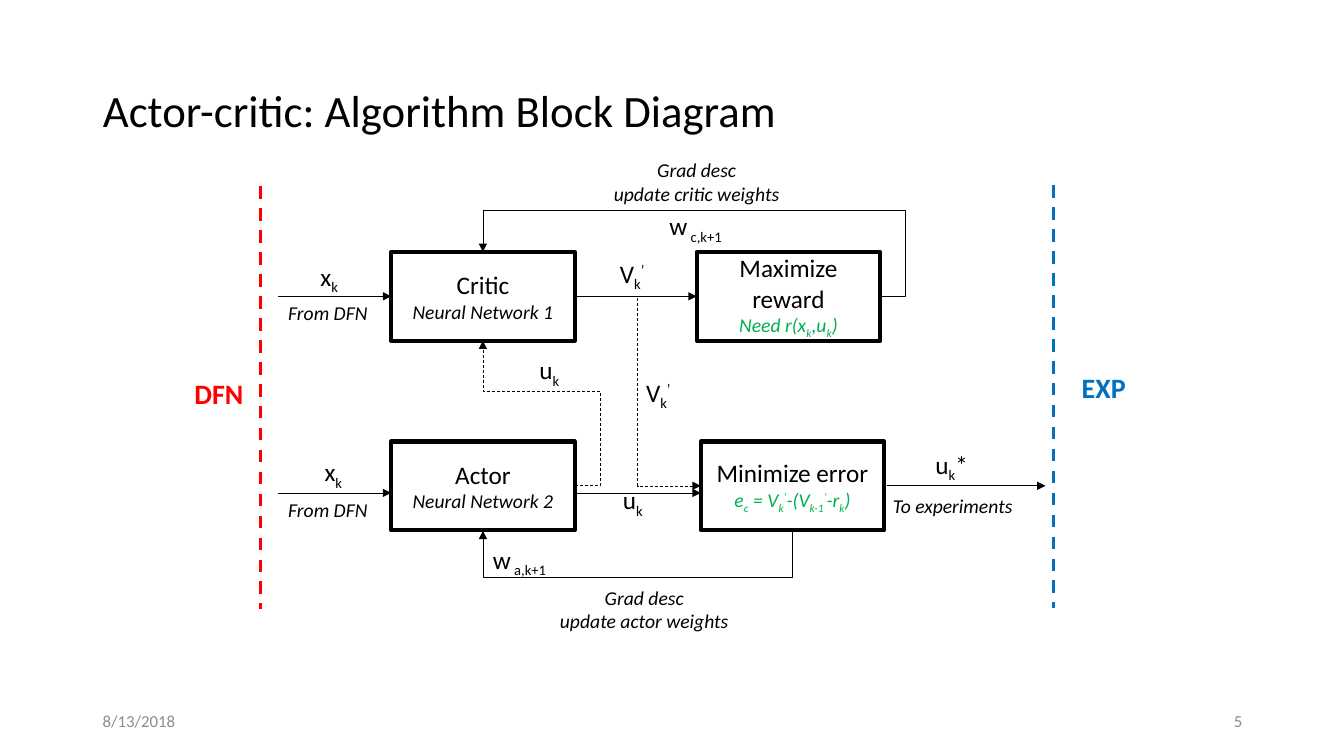
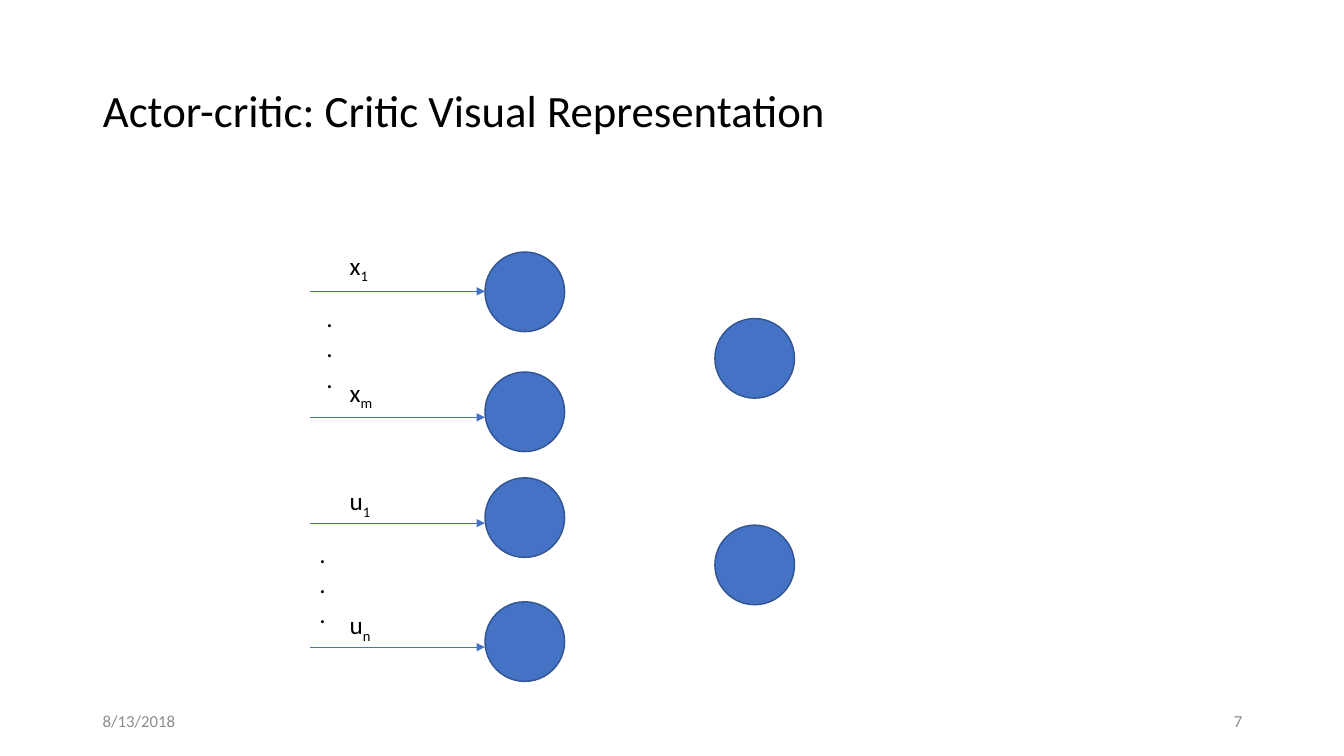
from dataclasses import dataclass
from typing import NamedTuple

from lxml.etree import SubElement
from pptx import Presentation
from pptx.dml.color import RGBColor
from pptx.enum.dml import MSO_LINE
from pptx.enum.shapes import MSO_CONNECTOR as Link, MSO_SHAPE as Preset
from pptx.enum.text import MSO_ANCHOR as Anchor, MSO_AUTO_SIZE as Fit, PP_ALIGN as Align
from pptx.oxml.ns import qn
from pptx.presentation import Presentation as Deck
from pptx.shapes.autoshape import Shape
from pptx.shapes.connector import Connector
from pptx.slide import Slide
from pptx.text.text import TextFrame
from pptx.util import Inches, Pt


@dataclass(frozen=True)
class Theme:
    font: str = "Calibri"
    black: str = "000000"
    white: str = "FFFFFF"
    gray: str = "8C8C8C"
    red: str = "FF0000"
    blue: str = "0070C0"
    green: str = "00B050"
    node: str = "4472C4"
    node_edge: str = "325491"
    title: int = 32
    side: int = 20
    body: int = 18
    note: int = 14
    footer: int = 12
    thin: float = 0.5
    medium: float = 2.25
    thick: float = 3


THEME = Theme()
TOP, LEFT, BOTTOM, RIGHT = range(4)


class Span(NamedTuple):
    text: str
    base: int = 0


class Para(NamedTuple):
    spans: tuple[Span, ...]
    size: int = THEME.body
    color: str = THEME.black
    italic: bool = False
    bold: bool = False
    align: Align = Align.LEFT


class Area(NamedTuple):
    left: float
    top: float
    width: float
    height: float

    def side(self, site: int) -> tuple[float, float]:
        middle, center = self.left + self.width / 2, self.top + self.height / 2
        return (
            (middle, self.top),
            (self.left, center),
            (middle, self.top + self.height),
            (self.left + self.width, center),
        )[site]


@dataclass(frozen=True)
class Label:
    area: Area
    paras: list[Para]
    wrap: bool = False
    anchor: Anchor = Anchor.TOP


@dataclass(frozen=True)
class Block:
    area: Area
    paras: list[Para]


@dataclass(frozen=True)
class Stroke:
    start: tuple[float, float]
    end: tuple[float, float]
    color: str = THEME.black
    width: float = THEME.thin
    dashed: bool = False
    arrow: bool = True


@dataclass(frozen=True)
class Route:
    source: str
    source_side: int
    target: str
    target_side: int
    bends: tuple[float, ...] = ()
    dashed: bool = False


def sub(text: str) -> Span:
    return Span(text, -25)


def plain(text: str, size: int = THEME.body, **style) -> Para:
    return Para((Span(text),), size, **style)


def symbol(letter: str, index: str, *rest: Span) -> list[Para]:
    return [Para((Span(letter), sub(index), *rest))]


def note(*lines: str, align: Align = Align.CENTER) -> list[Para]:
    return [plain(line, THEME.note, italic=True, align=align) for line in lines]


def formula(*spans: Span) -> Para:
    return Para(spans, THEME.note, THEME.green, italic=True, align=Align.CENTER)


def fill_text(frame: TextFrame, paras: list[Para]) -> None:
    for number, para in enumerate(paras):
        paragraph = frame.add_paragraph() if number else frame.paragraphs[0]
        paragraph.alignment = para.align
        font = paragraph.font
        font.name, font.size = THEME.font, Pt(para.size)
        font.bold, font.italic = para.bold, para.italic
        font.color.rgb = RGBColor.from_string(para.color)
        for span in para.spans:
            run = paragraph.add_run()
            run.text = span.text
            if span.base:
                run.font._element.set("baseline", str(span.base * 1000))


def add_label(page: Slide, label: Label) -> None:
    frame = page.shapes.add_textbox(*map(Inches, label.area)).text_frame
    frame.word_wrap = label.wrap
    frame.vertical_anchor = label.anchor
    frame.auto_size = Fit.SHAPE_TO_FIT_TEXT if label.anchor == Anchor.TOP else Fit.NONE
    fill_text(frame, label.paras)


def add_figure(page: Slide, preset: Preset, area: Area, fill: str, edge: str, width: float) -> Shape:
    shape = page.shapes.add_shape(preset, *map(Inches, area))
    shape.shadow.inherit = False
    shape.fill.solid()
    shape.fill.fore_color.rgb = RGBColor.from_string(fill)
    shape.line.color.rgb = RGBColor.from_string(edge)
    shape.line.width = Pt(width)
    return shape


def add_block(page: Slide, block: Block) -> Shape:
    shape = add_figure(page, Preset.RECTANGLE, block.area, THEME.white, THEME.black, THEME.thick)
    shape.text_frame.word_wrap = True
    shape.text_frame.vertical_anchor = Anchor.MIDDLE
    fill_text(shape.text_frame, block.paras)
    return shape


def add_stroke(page: Slide, stroke: Stroke, kind: Link = Link.STRAIGHT) -> Connector:
    connector = page.shapes.add_connector(kind, *map(Inches, (*stroke.start, *stroke.end)))
    connector.line.color.rgb = RGBColor.from_string(stroke.color)
    connector.line.width = Pt(stroke.width)
    if stroke.dashed:
        connector.line.dash_style = MSO_LINE.DASH
    properties = connector._element.spPr
    if stroke.arrow:
        SubElement(properties.find(qn("a:ln")), qn("a:tailEnd"), type="triangle")
    SubElement(properties, qn("a:effectLst"))
    return connector


def add_route(page: Slide, route: Route, blocks: dict[str, Block], shapes: dict[str, Shape]) -> None:
    start = blocks[route.source].area.side(route.source_side)
    end = blocks[route.target].area.side(route.target_side)
    connector = add_stroke(page, Stroke(start, end, dashed=route.dashed), Link.ELBOW)
    connector.begin_connect(shapes[route.source], route.source_side)
    connector.end_connect(shapes[route.target], route.target_side)
    properties = connector._element.spPr
    if route.source_side == route.target_side == BOTTOM:
        depth, reach = 0.01, start[0] - end[0]
        connector.left = Inches((start[0] + end[0] - depth) / 2)
        connector.top = Inches(start[1] - reach / 2)
        connector.width, connector.height = Inches(depth), Inches(reach)
        frame = properties.find(qn("a:xfrm"))
        for flip in ("flipH", "flipV"):
            frame.attrib.pop(flip, None)
        frame.set("rot", "5400000")
    if route.bends:
        geometry = properties.find(qn("a:prstGeom"))
        geometry.set("prst", f"bentConnector{len(route.bends) + 2}")
        guides = geometry.find(qn("a:avLst"))
        for number, bend in enumerate(route.bends, 1):
            SubElement(guides, qn("a:gd"), name=f"adj{number}", fmla=f"val {round(bend * 100000)}")


def add_page(deck: Deck, title: str, number: str) -> Slide:
    page = deck.slides.add_slide(deck.slide_layouts[5])
    box = page.shapes.title
    box.left, box.top, box.width, box.height = map(Inches, (0.92, 0.4, 11.5, 1.45))
    frame = box.text_frame
    frame.word_wrap, frame.auto_size = True, Fit.NONE
    frame.vertical_anchor = Anchor.MIDDLE
    fill_text(frame, [plain(title, THEME.title)])
    frame.paragraphs[0].line_spacing = 0.9
    for left, text, align in ((0.92, "8/13/2018", Align.LEFT), (9.42, number, Align.RIGHT)):
        para = plain(text, THEME.footer, color=THEME.gray, align=align)
        add_label(page, Label(Area(left, 6.95, 3, 0.4), [para], True, Anchor.MIDDLE))
    return page


def build_block_diagram(deck: Deck) -> None:
    page = add_page(deck, "Actor-critic: Algorithm Block Diagram", "5")
    prime = Span("’", 30)
    size = (1.82, 0.88)
    upper, lower = 2.5, 4.38

    def heading(text: str) -> Para:
        return plain(text, align=Align.CENTER)

    blocks = {
        "critic": Block(Area(3.88, upper, *size), [heading("Critic"), *note("Neural Network 1")]),
        "actor": Block(Area(3.88, lower, *size), [heading("Actor"), *note("Neural Network 2")]),
        "reward": Block(Area(6.91, upper, *size), [
            heading("Maximize reward"),
            formula(Span("Need r(x"), sub("k"), Span(",u"), sub("k"), Span(")")),
        ]),
        "error": Block(Area(6.95, lower, *size), [
            heading("Minimize error"),
            formula(Span("e"), sub("c"), Span(" = V"), sub("k"), prime, Span("-(V"),
                    sub("k-1"), prime, Span("-r"), sub("k"), Span(")")),
        ]),
    }
    shapes = {name: add_block(page, block) for name, block in blocks.items()}

    critic_input = add_stroke(page, Stroke((2.76, 2.94), blocks["critic"].area.side(LEFT)))
    critic_input.end_connect(shapes["critic"], LEFT)
    value = add_stroke(page, Stroke(blocks["critic"].area.side(RIGHT), blocks["reward"].area.side(LEFT)))
    value.begin_connect(shapes["critic"], RIGHT)
    value.end_connect(shapes["reward"], LEFT)

    for stroke in (
        Stroke((2.76, 4.89), (3.88, 4.89)),
        Stroke((5.71, 4.89), (6.95, 4.89)),
        Stroke((8.8, 4.82), (10.37, 4.82)),
        Stroke((2.58, 1.85), (2.58, 6.04), THEME.red, THEME.medium, True, False),
        Stroke((10.45, 1.84), (10.45, 6.03), THEME.blue, THEME.medium, True, False),
    ):
        add_stroke(page, stroke)

    for route in (
        Route("actor", RIGHT, "critic", BOTTOM, (-0.275, 0.653), True),
        Route("critic", RIGHT, "error", LEFT, dashed=True),
        Route("reward", RIGHT, "critic", TOP, (-0.063, 1.927)),
        Route("error", BOTTOM, "actor", BOTTOM, (48,)),
    ):
        add_route(page, route, blocks, shapes)

    from_network = note("From DFN", align=Align.LEFT)
    for label in (
        Label(Area(3.08, 2.54, 0.39, 0.4), symbol("x", "k")),
        Label(Area(2.76, 2.94, 0.99, 0.34), from_network),
        Label(Area(3.12, 4.48, 0.39, 0.4), symbol("x", "k")),
        Label(Area(2.76, 4.89, 0.99, 0.34), from_network),
        Label(Area(6.54, 2.04, 0.78, 0.4), symbol("w", " c,k+1")),
        Label(Area(4.79, 5.35, 0.79, 0.4), symbol("w", " a,k+1")),
        Label(Area(5.97, 1.52, 1.88, 0.57), note("Grad desc", "update critic weights"), True),
        Label(Area(5.45, 5.76, 1.88, 0.57), note("Grad desc", "update actor weights"), True),
        Label(Area(6.08, 4.76, 0.41, 0.4), symbol("u", "k")),
        Label(Area(5.25, 3.47, 0.41, 0.4), symbol("u", "k"), True),
        Label(Area(6.05, 2.51, 0.46, 0.4), symbol("V", "k", prime)),
        Label(Area(6.31, 3.69, 0.46, 0.4), symbol("V", "k", prime)),
        Label(Area(9.18, 4.41, 0.54, 0.4), symbol("u", "k", Span("*"))),
        Label(Area(8.73, 4.85, 1.44, 0.34), note("To experiments"), True),
        Label(Area(1.83, 3.69, 0.69, 0.44), [plain("DFN", THEME.side, color=THEME.red, bold=True)]),
        Label(Area(10.63, 3.63, 0.64, 0.44), [plain("EXP", THEME.side, color=THEME.blue, bold=True)]),
    ):
        add_label(page, label)


def build_critic_network(deck: Deck) -> None:
    page = add_page(deck, "Actor-critic: Critic Visual Representation", "7")
    diameter = 0.79
    inputs, hidden = 4.81, 7.09
    for left, tops in ((inputs, (2.5, 3.69, 4.74, 5.97)), (hidden, (3.16, 5.21))):
        for top in tops:
            area = Area(left, top, diameter, diameter)
            add_figure(page, Preset.OVAL, area, THEME.node, THEME.node_edge, 1)
    for letter, index, level, top, width in (
        ("x", "1", 2.89, 2.43, 0.4),
        ("x", "m", 4.14, 3.69, 0.45),
        ("u", "1", 5.19, 4.77, 0.42),
        ("u", "n", 6.42, 6, 0.42),
    ):
        add_stroke(page, Stroke((3.07, level), (inputs, level), THEME.node))
        add_label(page, Label(Area(3.37, top, width, 0.4), symbol(letter, index)))
    for left, top in ((3.14, 2.95), (3.07, 5.29)):
        add_label(page, Label(Area(left, top, 0.27, 1.01), [plain(".")] * 3))


def main() -> None:
    deck = Presentation()
    deck.slide_width, deck.slide_height = Inches(13.33), Inches(7.5)
    build_block_diagram(deck)
    build_critic_network(deck)
    deck.save("out.pptx")


if __name__ == "__main__":
    main()
